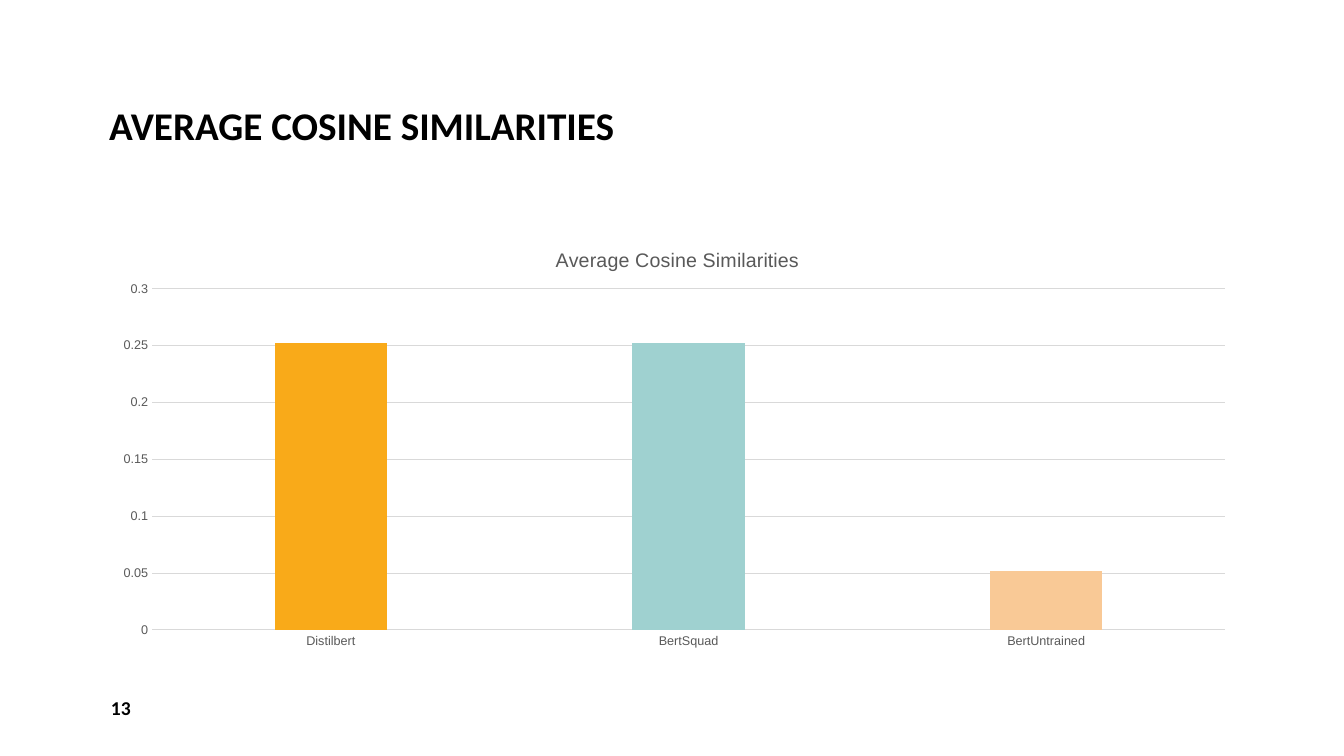
"""Build the slide on average cosine similarities."""
from lxml.etree import SubElement
from pptx import Presentation
from pptx.chart.data import CategoryChartData
from pptx.dml.color import RGBColor
from pptx.enum.chart import XL_CHART_TYPE, XL_TICK_MARK
from pptx.enum.text import MSO_ANCHOR, PP_ALIGN
from pptx.oxml.ns import qn
from pptx.util import Emu, Pt

HEADING = "AVERAGE COSINE SIMILARITIES"
PAGE_NUMBER = "13"
CHART_TITLE = "Average Cosine Similarities"
SIMILARITIES = [
    ("Distilbert", 0.252, "F9AA19"),
    ("BertSquad", 0.252, "9FD1D0"),
    ("BertUntrained", 0.052, "F9C996"),
]
INK, LABEL_GREY, RULE_GREY = "000000", "595959", "D9D9D9"

SLIDE_SIZE = (1344, 756)
HEADING_BOX = (99, 8, 1147, 146)
NUMBER_BOX = (101, 688, 294, 40)
CHART_BOX = (101, 225, 1147, 432)
PLOT_BOX = (152, 289, 1073, 341)
CHART_TITLE_POINT = (552, 244)

HEADING_FONT = {"name": "Calibri", "size": Pt(28), "bold": True}
NUMBER_FONT = {"name": "Calibri", "size": Pt(14), "bold": True}
CHART_FONT = {"name": "Arial", "size": Pt(10), "bold": False}
CHART_TITLE_FONT = {"name": "Arial", "size": Pt(14), "bold": False}
AXIS_FONT = {"name": "Arial", "size": Pt(9), "bold": False}
HEADING_FRAME = {"word_wrap": True, "vertical_anchor": MSO_ANCHOR.BOTTOM}
NUMBER_FRAME = {"word_wrap": True, "vertical_anchor": MSO_ANCHOR.MIDDLE}
HEADING_PARAGRAPH = {"alignment": PP_ALIGN.LEFT, "line_spacing": 0.9}
NUMBER_PARAGRAPH = {"alignment": PP_ALIGN.LEFT, "space_after": Pt(6)}
TICKS = {"major_tick_mark": XL_TICK_MARK.NONE, "minor_tick_mark": XL_TICK_MARK.NONE}
VALUE_SCALE = {"minimum_scale": 0, "maximum_scale": 0.3, "major_unit": 0.05,
               "has_major_gridlines": True}
BARS = {"gap_width": 219, "overlap": -27, "vary_by_categories": False}


def px(length):
    return Emu(round(length * 914400 / 100.8))


def colour(value):
    return RGBColor.from_string(value)


def apply(target, values):
    for key, value in values.items():
        setattr(target, key, value)


def style_font(font, values, ink):
    apply(font, values)
    font.color.rgb = colour(ink)


def style_rule(line):
    line.color.rgb = colour(RULE_GREY)
    line.width = Pt(0.75)


def write(holder, text, frame_format, paragraph_format, font_format):
    frame = holder.text_frame
    apply(frame, frame_format)
    paragraph = frame.paragraphs[0]
    apply(paragraph, paragraph_format)
    run = paragraph.add_run()
    run.text = text
    style_font(run.font, font_format, INK)


def set_layout(parent, index, box, inner=False):
    for old in parent.findall(qn("c:layout")):
        parent.remove(old)
    layout = SubElement(parent, qn("c:layout"))
    parent.insert(index, layout)
    manual = SubElement(layout, qn("c:manualLayout"))
    left, top, width, height = CHART_BOX
    fractions = [(box[0] - left) / width, (box[1] - top) / height]
    fractions += [part / whole for part, whole in zip(box[2:], (width, height))]
    settings = [("layoutTarget", "inner")] if inner else []
    settings += [("xMode", "edge"), ("yMode", "edge")]
    settings += [(key, f"{part:.4f}") for key, part in zip("xywh", fractions)]
    for key, value in settings:
        SubElement(manual, qn(f"c:{key}")).set("val", value)


def add_similarity_chart(slide):
    names, values, fills = zip(*SIMILARITIES)
    similarity_data = CategoryChartData()
    similarity_data.categories = names
    similarity_data.add_series("Series 1", values)
    chart = slide.shapes.add_chart(
        XL_CHART_TYPE.COLUMN_CLUSTERED, *map(px, CHART_BOX), similarity_data).chart
    chart.has_legend = False
    style_font(chart.font, CHART_FONT, INK)

    chart.has_title = True
    title_run = chart.chart_title.text_frame.paragraphs[0].add_run()
    title_run.text = CHART_TITLE
    style_font(title_run.font, CHART_TITLE_FONT, LABEL_GREY)
    set_layout(chart.chart_title._element, 1, CHART_TITLE_POINT)
    set_layout(chart._chartSpace.chart.plotArea, 0, PLOT_BOX, inner=True)

    for axis in (chart.category_axis, chart.value_axis):
        apply(axis, TICKS)
        style_font(axis.tick_labels.font, AXIS_FONT, LABEL_GREY)
    style_rule(chart.category_axis.format.line)
    apply(chart.value_axis, VALUE_SCALE)
    chart.value_axis.format.line.fill.background()
    style_rule(chart.value_axis.major_gridlines.format.line)

    plot = chart.plots[0]
    apply(plot, BARS)
    for index, fill in enumerate(fills):
        bar = plot.series[0].points[index].format.fill
        bar.solid()
        bar.fore_color.rgb = colour(fill)


def main():
    deck = Presentation()
    deck.slide_width, deck.slide_height = map(px, SLIDE_SIZE)
    slide = deck.slides.add_slide(deck.slide_layouts[5])
    heading = slide.shapes.title
    apply(heading, dict(zip(("left", "top", "width", "height"), map(px, HEADING_BOX))))
    write(heading, HEADING, HEADING_FRAME, HEADING_PARAGRAPH, HEADING_FONT)
    number = slide.shapes.add_textbox(*map(px, NUMBER_BOX))
    write(number, PAGE_NUMBER, NUMBER_FRAME, NUMBER_PARAGRAPH, NUMBER_FONT)
    add_similarity_chart(slide)
    deck.save("out.pptx")


if __name__ == "__main__":
    main()
